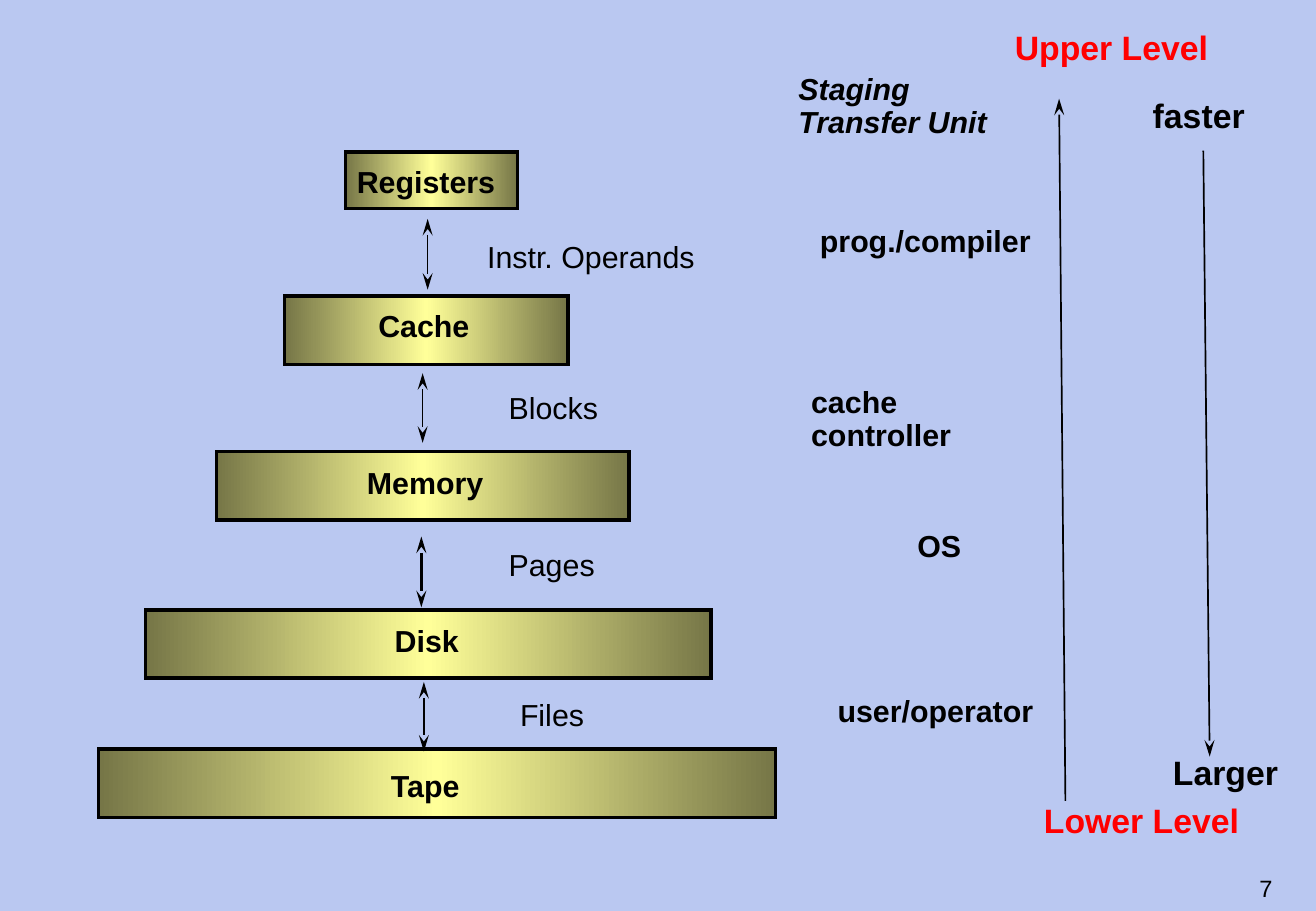
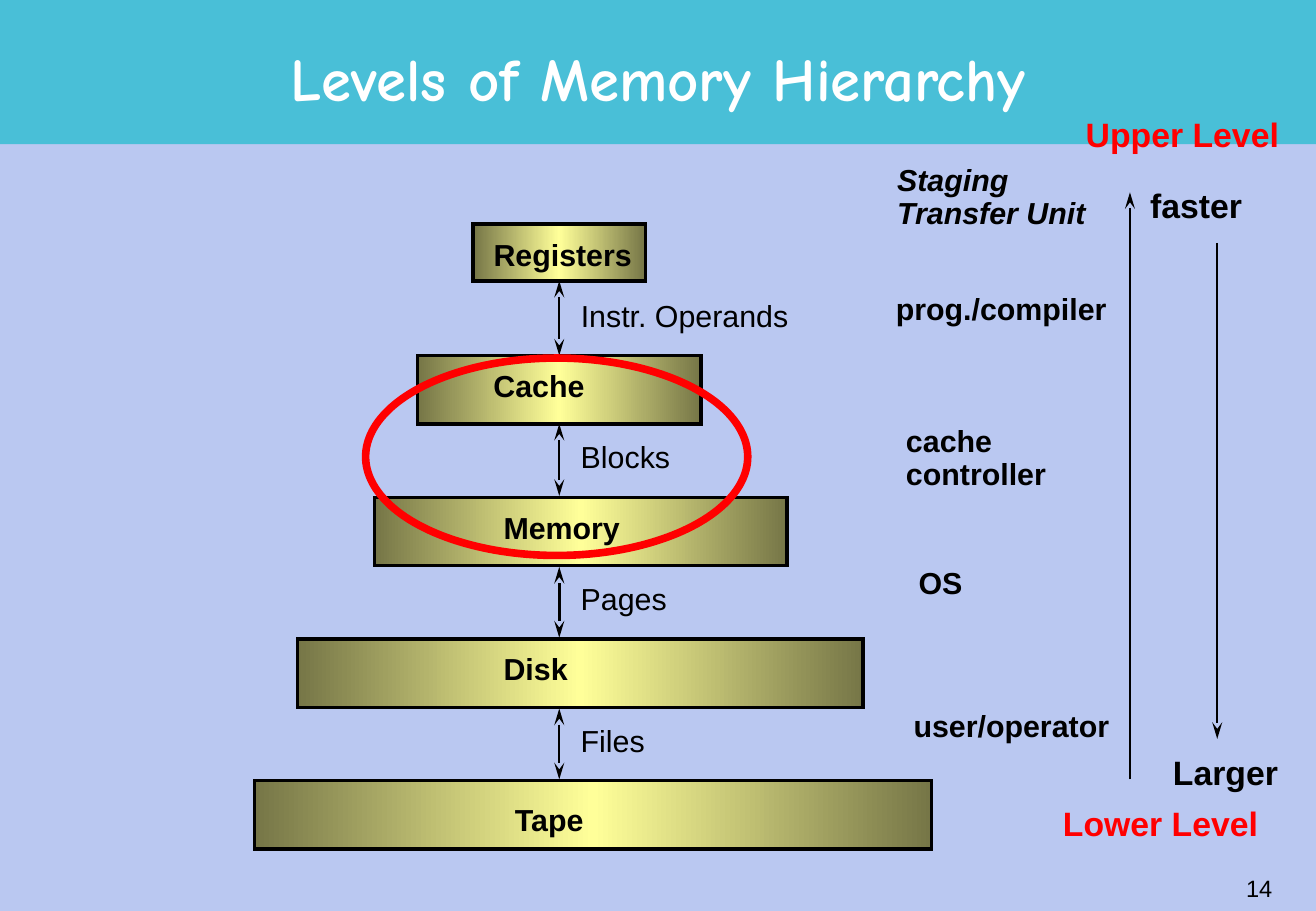
import copy

import pptx
import pptx.dml.color
import pptx.enum.shapes
import pptx.enum.text
import pptx.oxml.ns
import pptx.util
from lxml import etree

PX = 9525
BLACK = pptx.dml.color.RGBColor(0x00, 0x00, 0x00)
WHITE = pptx.dml.color.RGBColor(0xFF, 0xFF, 0xFF)
RED = pptx.dml.color.RGBColor(0xFF, 0x00, 0x00)
PERIWINKLE = pptx.dml.color.RGBColor(0xBA, 0xC8, 0xF1)
TEAL = pptx.dml.color.RGBColor(0x49, 0xBF, 0xD7)
OLIVE = pptx.dml.color.RGBColor(0x76, 0x76, 0x47)
YELLOW = pptx.dml.color.RGBColor(0xFF, 0xFF, 0x99)
BODY_FONT = "Arial"
TITLE_FONT = "Comic Neue"

SHAPES = pptx.enum.shapes.MSO_SHAPE
ALIGN = pptx.enum.text.PP_ALIGN
ANCHOR = pptx.enum.text.MSO_ANCHOR
qn = pptx.oxml.ns.qn

LEVELS = [("Registers", 136, 45, 132), ("Cache", 224, 54, 92), ("Memory", 326, 54, 114),
          ("Disk", 447, 54, 69), ("Tape", 535, 54, 75)]
TRANSFERS = [("Instr. Operands", 194, 1), ("Blocks", 91, 1), ("Pages", 88, 2), ("Files", 69, 1)]
STAGING = [("Staging\nTransfer Unit", 177), ("prog./compiler", 196), ("cache\vcontroller", 199),
           ("OS", 60), ("user/operator", 184)]
EXTREMES = [("Upper Level", 180, RED), ("Lower Level", 181, RED),
            ("faster", 93, BLACK), ("Larger", 105, BLACK)]

STEP = 112
HIERARCHIES = [
    {
        "number": "7",
        "title": None,
        "levels": [(273, 120), (225, 234), (171, 357), (115, 482), (78, 592)],
        "level_names": [(275, 130), (292, 244), (283, 368), (305, 493), (302, 608)],
        "arrows": [(338, 173, 229), (334, 295, 350), (333, 424, 480), (335, 539, 594)],
        "transfers": [(378, 190), (395, 309), (395, 433), (404, 552)],
        "staging": [(624, 56), (641, 176), (634, 303), (718, 417), (655, 547)],
        "extremes": [(795, 23), (818, 634), (904, 77), (920, 596)],
        "trends": [(842, 633, 837, 78), (951, 119, 956, 598)],
        "highlight": None,
    },
    {
        "number": "14",
        "title": "Levels of Memory Hierarchy",
        "levels": [(374, 177)] + [(x, 281 + STEP * i) for i, x in enumerate((330, 296, 235, 201))],
        "level_names": [(383, 188), (383, 292), (391, 404), (391, 515), (400, 635)],
        "arrows": [(442, 224 + STEP * i, 280 + STEP * i) for i in range(4)],
        "transfers": [(452, 236 + STEP * i) for i in range(4)],
        "staging": [(702, 128), (701, 230), (709, 334), (719, 446), (715, 559)],
        "extremes": [(851, 92), (833, 636), (902, 148), (920, 596)],
        "trends": [(893, 616, 893, 152), (962, 192, 962, 584)],
        "highlight": (289, 283, 302, 156),
    },
]


def add_label(slide, text, x, y, width, size=18, color=BLACK, bold=True, italic=False, spacing=0.9):
    label = slide.shapes.add_textbox(x * PX, y * PX, width * PX, 30 * PX)
    frame = label.text_frame
    frame.text = text
    frame.word_wrap = False
    frame.auto_size = pptx.enum.text.MSO_AUTO_SIZE.SHAPE_TO_FIT_TEXT
    frame.margin_left = frame.margin_right = 7 * PX
    frame.margin_top = frame.margin_bottom = 3 * PX
    for paragraph in frame.paragraphs:
        paragraph.line_spacing = spacing
        for run in paragraph.runs:
            run.font.name = BODY_FONT
            run.font.size = pptx.util.Pt(size)
            run.font.bold = bold
            run.font.italic = italic
            run.font.color.rgb = color


def add_arrow(slide, x1, y1, x2, y2, weight, ends):
    arrow = slide.shapes.add_connector(
        pptx.enum.shapes.MSO_CONNECTOR.STRAIGHT, x1 * PX, y1 * PX, x2 * PX, y2 * PX)
    arrow.line.color.rgb = BLACK
    arrow.line.width = pptx.util.Pt(weight)
    outline = arrow.element.spPr.find(qn("a:ln"))
    for end in ends:
        etree.SubElement(outline, qn(end), type="stealth", w="med", len="lg")
    etree.SubElement(arrow.element.spPr, qn("a:effectLst"))
    return arrow


prs = pptx.Presentation()
prs.slide_width = 1040 * PX
prs.slide_height = 720 * PX
background = prs.slide_master.background.fill
background.solid()
background.fore_color.rgb = PERIWINKLE
titled_layout = prs.slide_layouts[5]
blank_layout = prs.slide_layouts[6]

for hierarchy in HIERARCHIES:
    slide = prs.slides.add_slide(titled_layout if hierarchy["title"] else blank_layout)

    if hierarchy["title"]:
        band = slide.shapes.add_shape(SHAPES.RECTANGLE, 0, 0, prs.slide_width, 114 * PX)
        band.shadow.inherit = False
        band.fill.solid()
        band.fill.fore_color.rgb = TEAL
        band.line.fill.background()
        band.element.nvSpPr.cNvPr.set("id", "20")
        titled_layout.shapes.element.insert(2, band.element)

        title = slide.shapes.title
        title.left, title.top, title.width, title.height = 78 * PX, 18 * PX, 884 * PX, 95 * PX
        title.text_frame.text = hierarchy["title"]
        title.text_frame.vertical_anchor = ANCHOR.MIDDLE
        heading = title.text_frame.paragraphs[0]
        heading.alignment = ALIGN.CENTER
        heading.line_spacing = 0.85
        heading_font = heading.runs[0].font
        heading_font.name = TITLE_FONT
        heading_font.size = pptx.util.Pt(36)
        heading_font.bold = True
        heading_font.color.rgb = WHITE

    levels = []
    for (_, width, height, _), (x, y) in zip(LEVELS, hierarchy["levels"]):
        level = slide.shapes.add_shape(SHAPES.RECTANGLE, x * PX, y * PX, width * PX, height * PX)
        level.shadow.inherit = False
        level.fill.gradient()
        level.fill.gradient_angle = 0
        stops = level.element.spPr.find(".//" + qn("a:gsLst"))
        stops.append(copy.deepcopy(stops[0]))
        for stop, position, color in zip(level.fill.gradient_stops, (0, 0.5, 1), (OLIVE, YELLOW, OLIVE)):
            stop.position = position
            stop.color.rgb = color
        level.line.color.rgb = BLACK
        level.line.width = pptx.util.Pt(2)
        etree.SubElement(level.element.spPr.find(qn("a:ln")), qn("a:miter"), lim="800000")
        levels.append(level)

    for (name, _, _, width), (x, y) in zip(LEVELS, hierarchy["level_names"]):
        add_label(slide, name, x, y, width, spacing=0.85)

    for i, (x, top, bottom) in enumerate(hierarchy["arrows"]):
        arrow = add_arrow(slide, x, top, x, bottom, TRANSFERS[i][2], ("a:headEnd", "a:tailEnd"))
        upper, lower = levels[i], levels[i + 1]
        if max(abs(upper.left + upper.width / 2 - x * PX),
               abs(upper.top + upper.height - top * PX)) <= 2 * PX:
            arrow.begin_connect(upper, 2)
        if max(abs(lower.left + lower.width / 2 - x * PX), abs(lower.top - bottom * PX)) <= 2 * PX:
            arrow.end_connect(lower, 0)

    for (unit, width, _), (x, y) in zip(TRANSFERS, hierarchy["transfers"]):
        add_label(slide, unit, x, y, width, bold=False, spacing=0.85)

    for i, ((manager, width), (x, y)) in enumerate(zip(STAGING, hierarchy["staging"])):
        add_label(slide, manager, x, y, width, italic=i == 0)

    for (extreme, width, color), (x, y) in zip(EXTREMES, hierarchy["extremes"]):
        add_label(slide, extreme, x, y, width, size=20, color=color, spacing=0.85)

    for trend in hierarchy["trends"]:
        add_arrow(slide, *trend, 1, ("a:tailEnd",))

    if hierarchy["highlight"]:
        highlight = slide.shapes.add_shape(SHAPES.OVAL, *(n * PX for n in hierarchy["highlight"]))
        highlight.shadow.inherit = False
        highlight.fill.background()
        highlight.line.color.rgb = RED
        highlight.line.width = pptx.util.Pt(4.5)

    page_number = slide.shapes.add_textbox(798 * PX, 684 * PX, 217 * PX, 36 * PX)
    page_number.text_frame.text = hierarchy["number"]
    page_number.text_frame.word_wrap = True
    page_number.text_frame.vertical_anchor = ANCHOR.MIDDLE
    page_line = page_number.text_frame.paragraphs[0]
    page_line.alignment = ALIGN.RIGHT
    page_font = page_line.runs[0].font
    page_font.name = BODY_FONT
    page_font.size = pptx.util.Pt(14)
    page_font.color.rgb = BLACK

prs.save("out.pptx")
